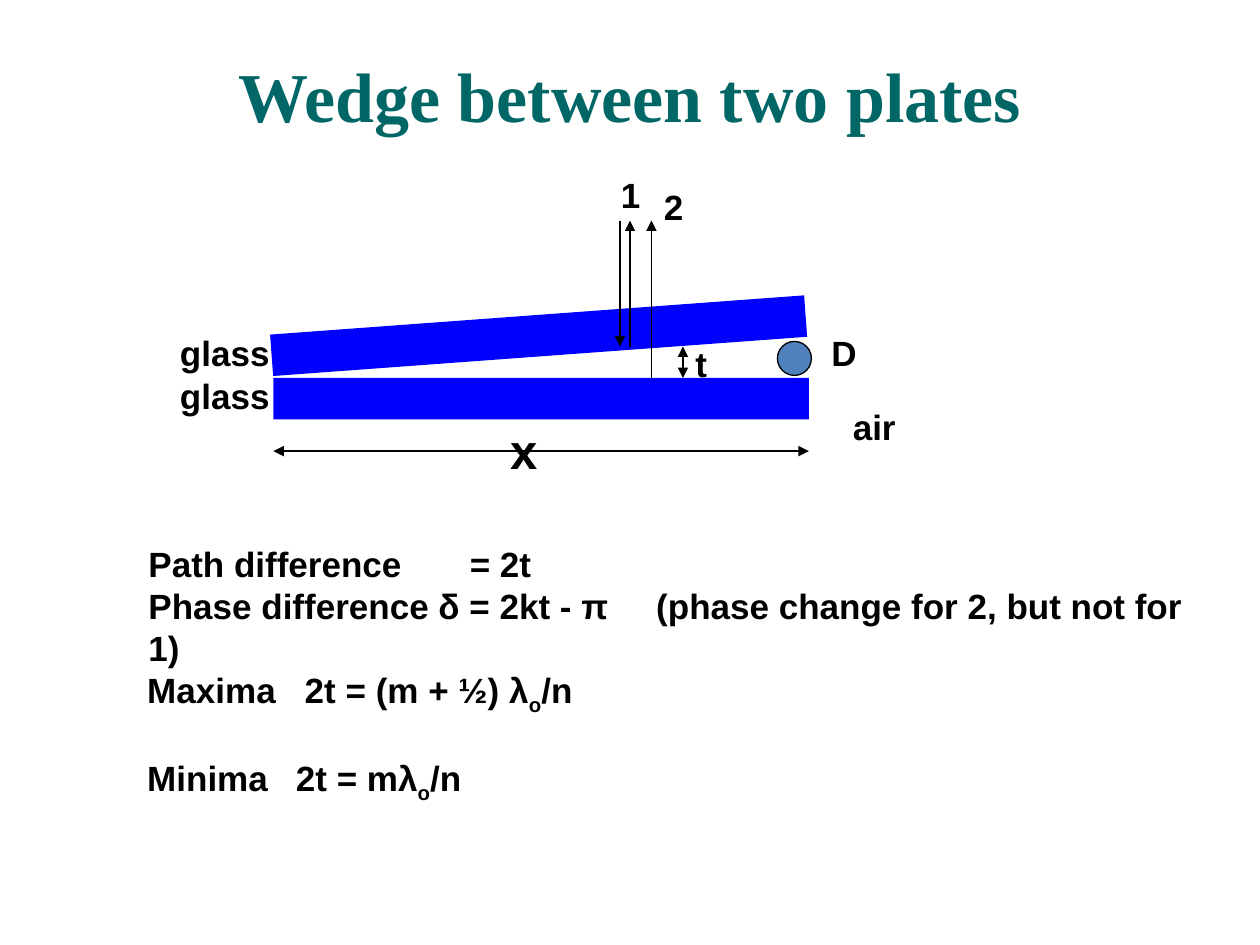
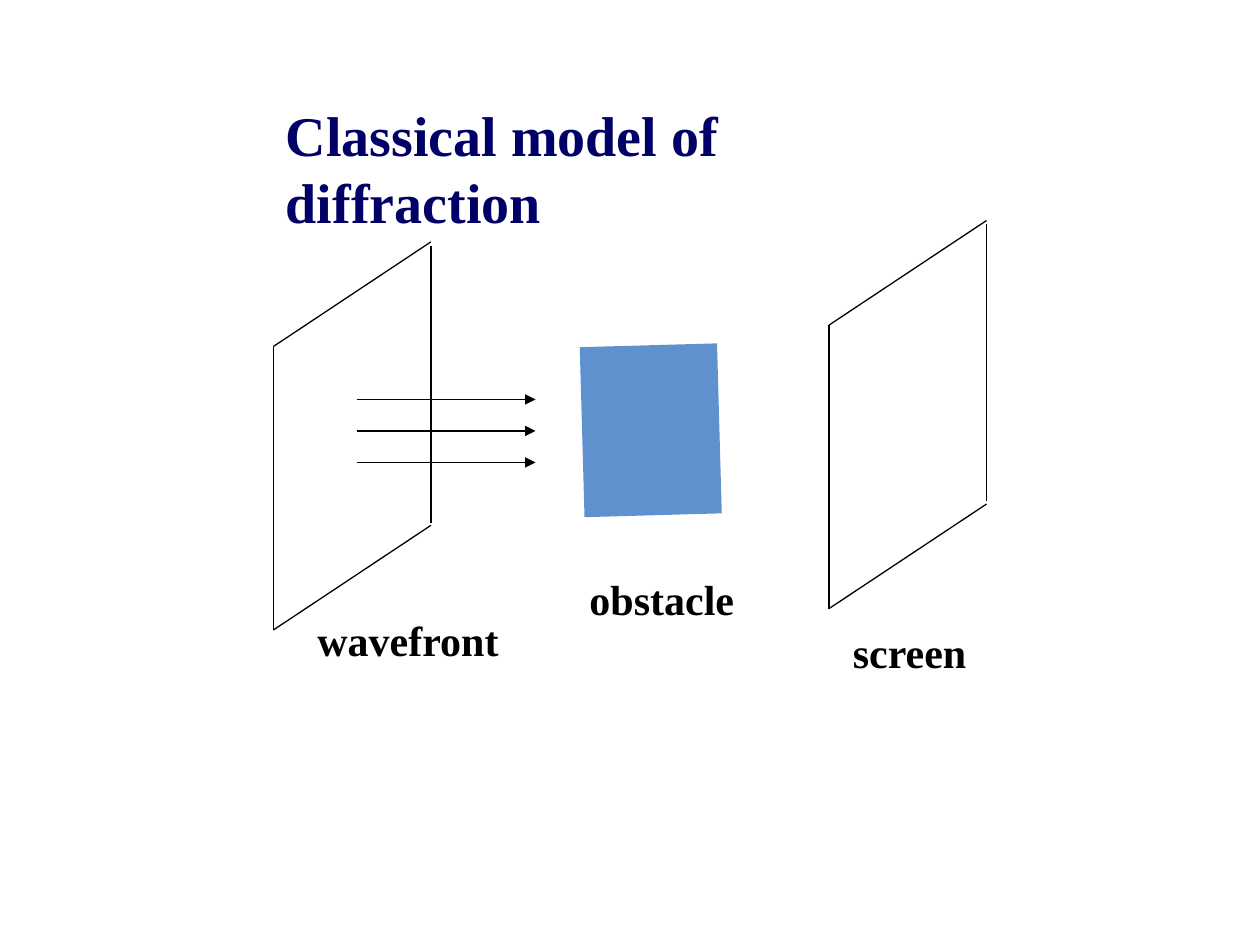
from dataclasses import dataclass

from lxml.etree import SubElement
from pptx import Presentation
from pptx.dml.color import RGBColor
from pptx.enum.shapes import MSO_CONNECTOR, MSO_SHAPE
from pptx.enum.text import MSO_ANCHOR, MSO_AUTO_SIZE, PP_ALIGN
from pptx.oxml.ns import qn
from pptx.util import Inches, Pt


@dataclass(frozen=True)
class Theme:
    black: str = "000000"
    teal: str = "006666"
    navy: str = "000066"
    glass: str = "0000FF"
    spacer: str = "4F81BD"
    obstacle: str = "6091CF"
    serif: str = "Times New Roman"
    sans: str = "Arial"
    title: int = 40
    subtitle: int = 32
    variable: int = 28
    caption: int = 24
    body: int = 20
    line: float = 0.75


class Painter:
    """Holds the theme and the slide being drawn."""

    def __init__(self, deck, theme):
        self.deck = deck
        self.theme = theme
        self.page = None

    def new_page(self):
        self.page = self.deck.slides.add_slide(self.deck.slide_layouts[6])

    def text(self, lines, at, size, font, color=None, wrap=False,
             align=PP_ALIGN.LEFT, anchor=MSO_ANCHOR.TOP, grow=True,
             tabs=(), gap=0):
        """Each line is a string; text between underscores is subscript."""
        box = self.page.shapes.add_textbox(*map(Inches, at))
        frame = box.text_frame
        frame.word_wrap = wrap
        frame.auto_size = MSO_AUTO_SIZE.SHAPE_TO_FIT_TEXT if grow else MSO_AUTO_SIZE.NONE
        frame.vertical_anchor = anchor
        for index, line in enumerate(lines):
            para = frame.paragraphs[0] if index == 0 else frame.add_paragraph()
            para.alignment = align
            para.font.name = font
            para.font.size = Pt(size)
            para.font.bold = True
            para.font.color.rgb = RGBColor.from_string(color or self.theme.black)
            if index and gap:
                para.space_before = Pt(gap)
            for part, content in enumerate(line.split("_")):
                span = para.add_run()
                span.text = content
                if part % 2:
                    span._r.get_or_add_rPr().set("baseline", "-25000")
            if tabs:
                self.tab_stop(para, tabs[index])

    def tab_stop(self, para, position):
        properties = para._p.get_or_add_pPr()
        stops = SubElement(properties, qn("a:tabLst"))
        SubElement(stops, qn("a:tab"), pos=str(Inches(position)), algn="l")
        properties.find(qn("a:defRPr")).addprevious(stops)

    def label(self, words, left, top, width, height=0.43, size=None, font=None):
        self.text([words], (left, top, width, height),
                  size or self.theme.body, font or self.theme.sans)

    def shape(self, kind, at, fill, outlined=False, rotation=0):
        shape = self.page.shapes.add_shape(kind, *map(Inches, at))
        shape.shadow.inherit = False
        shape.rotation = rotation
        shape.fill.solid()
        shape.fill.fore_color.rgb = RGBColor.from_string(fill)
        if outlined:
            shape.line.color.rgb = RGBColor.from_string(self.theme.black)
            shape.line.width = Pt(self.theme.line)
        else:
            shape.line.fill.background()

    def line(self, start, end, head=False, tail=False, parent=None):
        connector = (parent or self.page).shapes.add_connector(
            MSO_CONNECTOR.STRAIGHT, *map(Inches, (*start, *end)))
        connector.line.color.rgb = RGBColor.from_string(self.theme.black)
        connector.line.width = Pt(self.theme.line)
        properties = connector._element.spPr
        outline = properties.find(qn("a:ln"))
        for wanted, tag in ((head, "a:headEnd"), (tail, "a:tailEnd")):
            if wanted:
                SubElement(outline, qn(tag), type="triangle")
        SubElement(properties, qn("a:effectLst"))

    def arrow(self, start, end, both=False):
        self.line(start, end, head=both, tail=True)

    def panel(self, left, top):
        """A plane seen at an angle; top is its near upper corner."""
        right, bottom = left + 1.25, top + 2.25
        rise = 0.83
        group = self.page.shapes.add_group_shape()
        for start, end in (
            ((left, top), (left, bottom)),
            ((left, top), (right, top - rise)),
            ((right, top - 0.8), (right, top + 1.4)),
            ((left, bottom), (right, bottom - rise)),
        ):
            self.line(start, end, parent=group)


theme = Theme()
deck = Presentation()
deck.slide_width, deck.slide_height = Inches(10), Inches(7.5)
painter = Painter(deck, theme)

# Slide 1: air wedge between glass plates
painter.new_page()
painter.text(["Wedge between two plates"], (0.5, 0.5, 9, 0.5), theme.title,
             theme.serif, theme.teal, wrap=True, align=PP_ALIGN.CENTER,
             anchor=MSO_ANCHOR.MIDDLE, grow=False)

# Plates and spacer
painter.shape(MSO_SHAPE.RECTANGLE, (2.15, 2.5, 4.25, 0.33), theme.glass, rotation=355.8)
painter.shape(MSO_SHAPE.RECTANGLE, (2.17, 3, 4.25, 0.33), theme.glass)
painter.shape(MSO_SHAPE.OVAL, (6.17, 2.71, 0.27, 0.27), theme.spacer, outlined=True)

# Incoming ray and the two reflections
painter.arrow((4.92, 1.75), (4.92, 2.75))
painter.arrow((5, 2.75), (5, 1.75))
painter.arrow((5.17, 3), (5.17, 1.75))

# Dimensions
painter.arrow((5.42, 2.75), (5.42, 3), both=True)
painter.arrow((2.17, 3.58), (6.42, 3.58), both=True)

# Labels
for words, left, top, width in (
    ("1", 4.83, 1.33, 0.36),
    ("2", 5.17, 1.42, 0.36),
    ("glass", 1.33, 2.58, 0.91),
    ("glass", 1.33, 2.92, 0.91),
    ("air", 6.67, 3.17, 0.54),
    ("D", 6.5, 2.58, 0.4),
    ("t", 5.42, 2.67, 0.29),
):
    painter.label(words, left, top, width)
painter.label("x", 3.95, 3.29, 0.42, 0.57, theme.variable)

# Formulas
painter.text(["Path difference\t= 2t",
              "Phase difference δ = 2kt - π\t(phase change for 2, but not for 1)"],
             (1.08, 4.26, 8.62, 0.77), theme.body, theme.sans,
             wrap=True, tabs=(2.55, 4.03))
painter.text(["Maxima\t2t = (m + ½) λ_o_/n", "Minima\t2t = mλ_o_/n"],
             (1.07, 5.26, 3.65, 1.1), theme.body, theme.sans,
             wrap=True, tabs=(1.25, 1.18), gap=23)

# Slide 2: wavefront, obstacle and screen
painter.new_page()
painter.text(["Classical model of diffraction"], (2.17, 0.75, 5.6, 0.63),
             theme.subtitle, theme.serif, theme.navy, wrap=True)
painter.panel(2.17, 2.75)
painter.panel(6.58, 2.58)
for step in range(3):
    height = 3.17 + 0.25 * step
    painter.arrow((2.83, height), (4.25, height))
for words, left, top, width in (
    ("wavefront", 2.42, 4.83, 1.65),
    ("obstacle", 4.58, 4.5, 1.35),
    ("screen", 6.67, 4.92, 1.11),
):
    painter.label(words, left, top, width, 0.5, theme.caption, theme.serif)
painter.shape(MSO_SHAPE.RECTANGLE, (4.62, 2.74, 1.09, 1.35), theme.obstacle, rotation=358.4)

deck.save("out.pptx")
